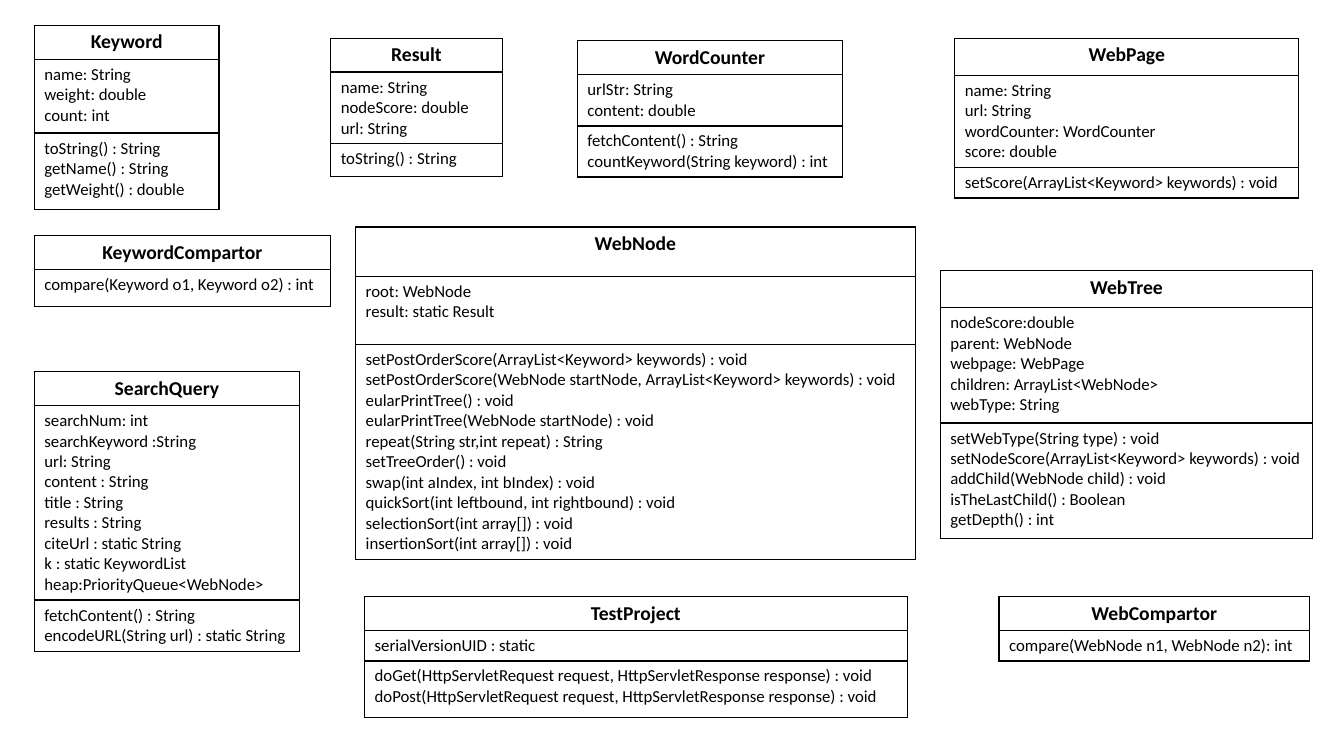
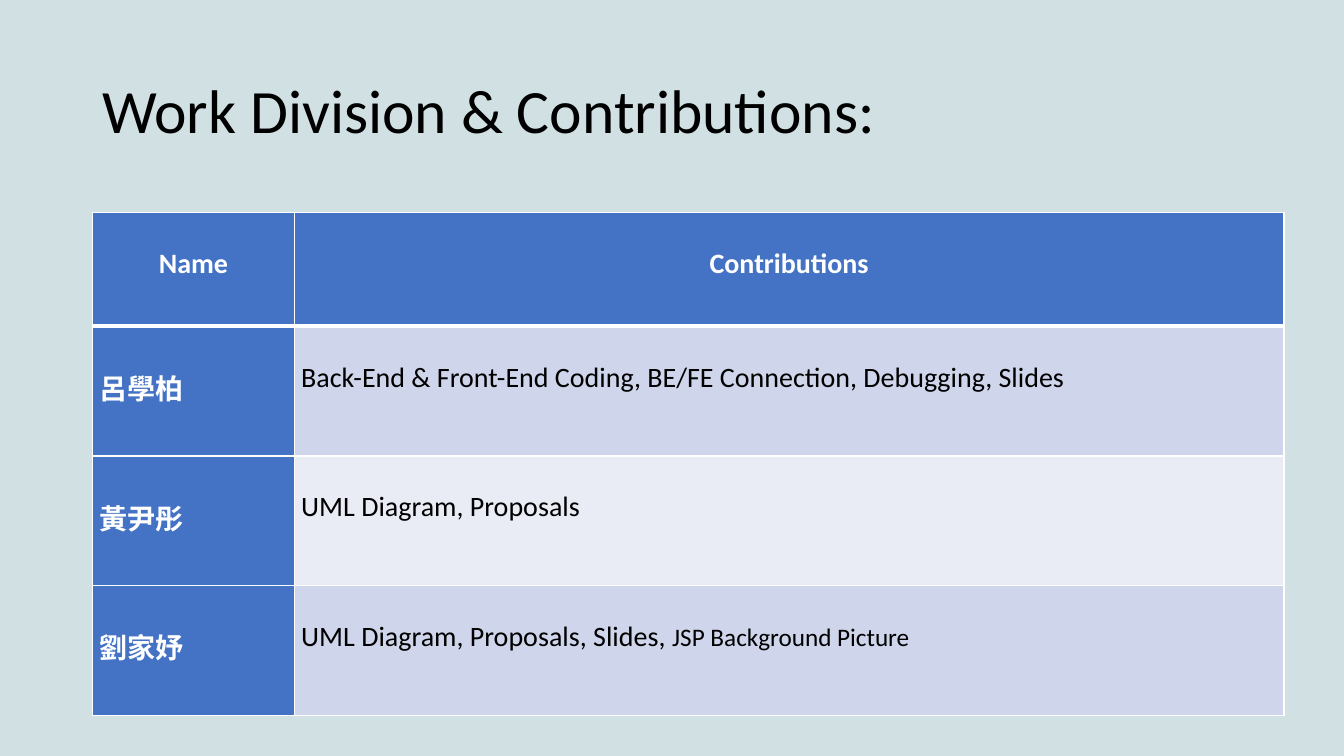
from pptx import Presentation
from pptx.dml.color import RGBColor
from pptx.enum.text import MSO_ANCHOR, PP_ALIGN
from pptx.oxml.ns import qn
from pptx.util import Pt
from lxml.etree import SubElement

FONT = "Calibri"
BLACK, WHITE, BLUE = "000000", "FFFFFF", "4472C4"
BAND_DARK, BAND_LIGHT = "CFD5EA", "E9EBF5"
PAGE = "D0E0E3"

CLASS_TITLE = {"size": 14, "bold": True}
MEMBER = {"size": 12, "bold": False}
SLIDE_TITLE = {"size": 44, "bold": False}
HEADING = {"size": 20, "bold": True, "color": WHITE}
TASK = {"size": 20, "bold": False}
SMALL_TASK = {"size": 18, "bold": False}

# name, (left, top, width), member compartments, least row heights
CLASSES = [
    ("Keyword", (24.5, 18, 132),
     [["name: String", "weight: double", "count: int"],
      ["toString() : String", "getName() : String", "getWeight() : double"]],
     (0, 52.8, 54.5)),
    ("KeywordCompartor", (24.5, 168.3, 211.7),
     [["compare(Keyword o1, Keyword o2) : int"]],
     (0, 26.3)),
    ("Result", (236.2, 27.2, 122.6),
     [["name: String", "nodeScore: double", "url: String"],
      ["toString() : String"]],
     (0, 0, 23.5)),
    ("TestProject", (260.4, 426, 387.6),
     [["serialVersionUID : static"],
      ["doGet(HttpServletRequest request, HttpServletResponse response) : void",
       "doPost(HttpServletRequest request, HttpServletResponse response) : void"]],
     (0, 0, 40.3)),
    ("WebCompartor", (713.6, 426, 221.8),
     [["compare(WebNode n1, WebNode n2): int"]],
     (0, 0)),
    ("WebNode", (254, 162.2, 399.8),
     [["root: WebNode", "result: static Result"],
      ["setPostOrderScore(ArrayList<Keyword> keywords) : void",
       "setPostOrderScore(WebNode startNode, ArrayList<Keyword> keywords) : void",
       "eularPrintTree() : void",
       "eularPrintTree(WebNode startNode) : void",
       "repeat(String str,int repeat) : String",
       "setTreeOrder() : void",
       "swap(int aIndex, int bIndex) : void",
       "quickSort(int leftbound, int rightbound) : void",
       "selectionSort(int array[]) : void",
       "insertionSort(int array[]) : void"]],
     (35.2, 48.5, 0)),
    ("WebPage", (682, 27.2, 245.8),
     [["name: String", "url: String", "wordCounter: WordCounter", "score: double"],
      ["setScore(ArrayList<Keyword> keywords) : void"]],
     (26.6, 0, 0)),
    ("WebTree", (671.6, 193.3, 266),
     [["nodeScore:double", "parent: WebNode", "webpage: WebPage",
       "children: ArrayList<WebNode>", "webType: String"],
      ["setWebType(String type) : void",
       "setNodeScore(ArrayList<Keyword> keywords) : void",
       "addChild(WebNode child) : void",
       "isTheLastChild() : Boolean",
       "getDepth() : int"]],
     (26.6, 82.3, 82.3)),
    ("WordCounter", (412.4, 29.2, 189.4),
     [["urlStr: String", "content: double"],
      ["fetchContent() : String", "countKeyword(String keyword) : int"]],
     (0, 0, 0)),
    ("SearchQuery", (24.5, 265.4, 189.6),
     [["searchNum: int", "searchKeyword :String", "url: String",
       "content : String", "title : String", "results : String",
       "citeUrl : static String", "k : static KeywordList",
       "heap:PriorityQueue<WebNode>"],
      ["fetchContent() : String", "encodeURL(String url) : static String"]],
     (0, 0, 0)),
]

DIVISION_TITLE = "Work Division & Contributions:"
DIVISION_HEADER = ("Name", "Contributions")
DIVISION = [
    ("呂學柏", [("Back-End & Front-End Coding, BE/FE Connection, Debugging, Slides", TASK)]),
    ("黃尹彤", [("UML Diagram, Proposals", TASK)]),
    ("劉家妤", [("UML Diagram, Proposals, Slides, ", TASK),
             ("JSP Background Picture", SMALL_TASK)]),
]


def rgb(color):
    return RGBColor.from_string(color)


def add_runs(p, runs, **layout):
    """Fill a paragraph with (text, format) runs; layout holds paragraph attributes."""
    for name, value in layout.items():
        setattr(p, name, value)
    for text, fmt in runs:
        r = p.add_run()
        r.text = text
        r.font.name = FONT
        r.font.size = Pt(fmt["size"])
        r.font.bold = fmt["bold"]
        r.font.color.rgb = rgb(fmt.get("color", BLACK))


def set_borders(cell, color, **widths):
    """Draw 1 pt borders; widths overrides single sides (L, R, T, B)."""
    tc_pr = cell._tc.get_or_add_tcPr()
    for side in "LRTB":
        ln = SubElement(tc_pr, qn(f"a:ln{side}"), w=str(Pt(widths.get(side, 1))))
        SubElement(SubElement(ln, qn("a:solidFill")), qn("a:srgbClr"), val=color)


def add_plain_table(slide, left, top, widths, heights):
    frame = slide.shapes.add_table(len(heights), len(widths), Pt(left), Pt(top),
                                   Pt(sum(widths)), Pt(sum(heights)))
    table = frame.table
    table.first_row = table.horz_banding = False
    for column, width in zip(table.columns, widths):
        column.width = Pt(width)
    for row, height in zip(table.rows, heights):
        row.height = Pt(height)
    return table


def add_class_box(slide, name, place, compartments, least):
    left, top, width = place
    rows = [([name], CLASS_TITLE, PP_ALIGN.CENTER)]
    rows += [(members, MEMBER, PP_ALIGN.LEFT) for members in compartments]
    heights = [max(low, 7.2 + 1.22 * fmt["size"] * len(lines))
               for low, (lines, fmt, _) in zip(least, rows)]
    table = add_plain_table(slide, left, top, [width], heights)
    for i, (lines, fmt, align) in enumerate(rows):
        cell = table.cell(i, 0)
        set_borders(cell, BLACK)
        cell.fill.background()
        tf = cell.text_frame
        for j, line in enumerate(lines):
            p = tf.add_paragraph() if j else tf.paragraphs[0]
            add_runs(p, [(line, fmt)], alignment=align)


def add_division_table(slide):
    rows = [[[(text, HEADING)] for text in DIVISION_HEADER]]
    rows += [[[(name, HEADING)], tasks] for name, tasks in DIVISION]
    heights = [81.4] + [92.6] * len(DIVISION)
    table = add_plain_table(slide, 66.2, 151.7, [144, 707], heights)
    for i, row in enumerate(rows):
        for j, runs in enumerate(row):
            cell = table.cell(i, j)
            set_borders(cell, WHITE, T=3 if i == 1 else 1, B=3 if i == 0 else 1)
            band = BAND_DARK if i % 2 else BAND_LIGHT
            cell.fill.solid()
            cell.fill.fore_color.rgb = rgb(BLUE if i == 0 or j == 0 else band)
            cell.margin_left = cell.margin_right = Pt(5)
            cell.margin_top = cell.margin_bottom = 0
            add_runs(cell.text_frame.paragraphs[0], runs, line_spacing=2.0,
                     alignment=PP_ALIGN.LEFT if i else PP_ALIGN.CENTER)


def add_title(slide, text):
    tf = slide.shapes.add_textbox(Pt(66), Pt(28.8), Pt(828), Pt(104.4)).text_frame
    tf.word_wrap = True
    tf.vertical_anchor = MSO_ANCHOR.MIDDLE
    add_runs(tf.paragraphs[0], [(text, SLIDE_TITLE)], line_spacing=0.9)


def add_slide(prs, background):
    slide = prs.slides.add_slide(prs.slide_layouts[6])
    fill = slide.background.fill
    fill.solid()
    fill.fore_color.rgb = rgb(background)
    return slide


def main():
    prs = Presentation()
    prs.slide_width, prs.slide_height = Pt(960), Pt(540)

    diagram = add_slide(prs, WHITE)
    for class_box in CLASSES:
        add_class_box(diagram, *class_box)

    division = add_slide(prs, PAGE)
    add_title(division, DIVISION_TITLE)
    add_division_table(division)

    prs.save("out.pptx")


if __name__ == "__main__":
    main()
